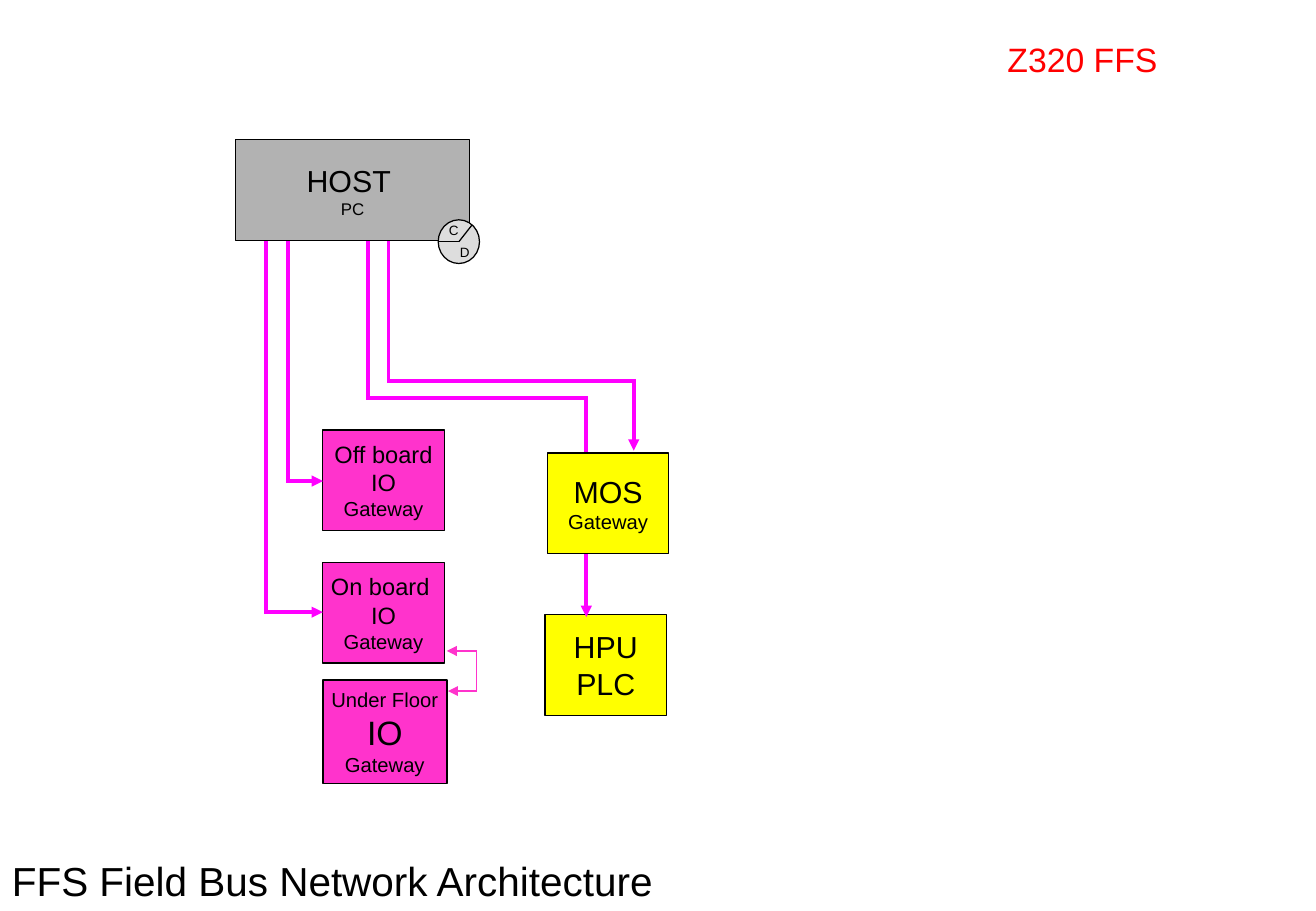
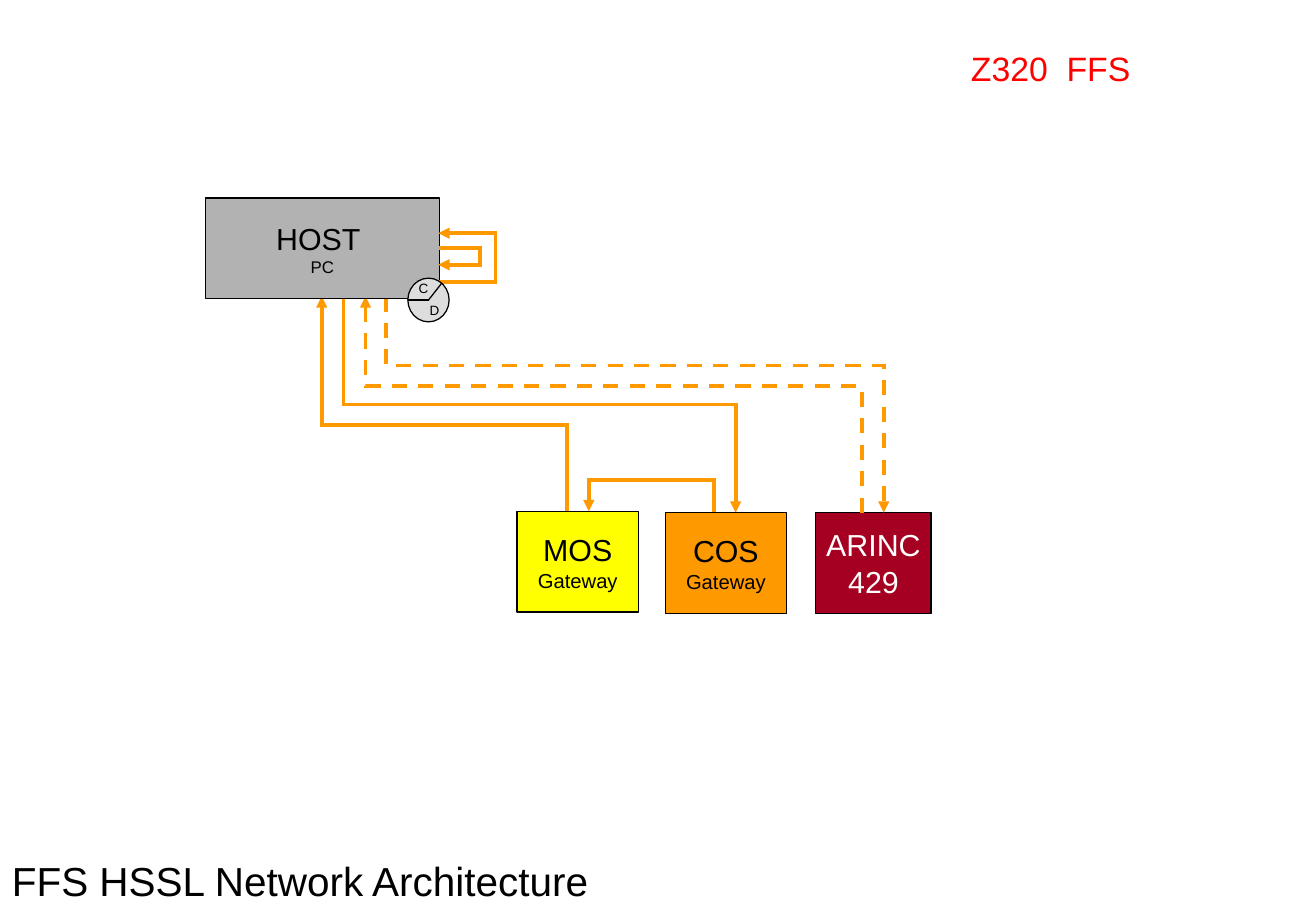
from lxml.etree import SubElement
from pptx import Presentation
from pptx.dml.color import RGBColor
from pptx.enum.dml import MSO_LINE_DASH_STYLE as Dash
from pptx.enum.shapes import MSO_CONNECTOR as Connector, MSO_SHAPE as Shape
from pptx.enum.text import MSO_ANCHOR as Anchor, MSO_AUTO_SIZE as AutoSize, PP_ALIGN as Align
from pptx.oxml.ns import qn
from pptx.util import Pt

SCALE = 9144
SLIDE_WIDTH, SLIDE_HEIGHT = 1084, 750
NODE_WIDTH, NODE_HEIGHT = 100, 83
HOST_WIDTH = 193
FONT = "Arial"
BLACK = RGBColor(0x00, 0x00, 0x00)
WHITE = RGBColor(0xFF, 0xFF, 0xFF)
RED = RGBColor(0xFF, 0x00, 0x00)
PINK = RGBColor(0xFF, 0x33, 0xCC)
MAGENTA = RGBColor(0xFF, 0x00, 0xFF)
YELLOW = RGBColor(0xFF, 0xFF, 0x00)
ORANGE = RGBColor(0xFF, 0x99, 0x00)
CRIMSON = RGBColor(0xA5, 0x00, 0x21)
GRAY = RGBColor(0xB2, 0xB2, 0xB2)
LIGHT_GRAY = RGBColor(0xDD, 0xDD, 0xDD)


def px(*lengths):
    """Turn px lengths into EMU."""
    return [round(length * SCALE) for length in lengths]


def write(shape, lines, color=BLACK, align=Align.LEFT, anchor=Anchor.TOP, wrap=False):
    """Fill a shape with (text, size) lines in one format."""
    frame = shape.text_frame
    frame.word_wrap = wrap
    frame.vertical_anchor = anchor
    for index, (text, size) in enumerate(lines):
        paragraph = frame.add_paragraph() if index else frame.paragraphs[0]
        paragraph.alignment = align
        run = paragraph.add_run()
        run.text = text
        run.font.name = FONT
        run.font.size = Pt(size)
        run.font.color.rgb = color


def add_label(slide, box, text, size, color=BLACK):
    """Add a one-line text box that fits its text."""
    label = slide.shapes.add_textbox(*px(*box))
    write(label, [(text, size)], color=color)
    label.text_frame.auto_size = AutoSize.SHAPE_TO_FIT_TEXT


def add_outlined(slide, kind, box, fill, line_width=0.75):
    """Add a filled preset shape with a black outline."""
    shape = slide.shapes.add_shape(kind, *px(*box))
    shape.shadow.inherit = False
    shape.fill.solid()
    shape.fill.fore_color.rgb = fill
    shape.line.color.rgb = BLACK
    shape.line.width = Pt(line_width)
    return shape


def add_node(slide, left, top, lines, fill, width=NODE_WIDTH, height=NODE_HEIGHT,
             color=BLACK, line_width=0.75):
    """Add a network node with centred text."""
    node = add_outlined(slide, Shape.RECTANGLE, (left, top, width, height), fill, line_width)
    write(node, lines, color=color, align=Align.CENTER, anchor=Anchor.MIDDLE)


def add_line(slide, kind, start, end, color=BLACK, width=0.75):
    """Add a connector without a shadow."""
    connector = slide.shapes.add_connector(kind, *px(*start, *end))
    connector.line.color.rgb = color
    connector.line.width = Pt(width)
    SubElement(connector._element.spPr, qn("a:effectLst"))
    return connector


def add_elbow(slide, start, end, color, bend=None, vertical=True, width=2.25,
              dashed=False, arrows=("tailEnd",)):
    """Add an elbow arrow that turns at the bend coordinate, or once at the end's level."""
    (x1, y1), (x2, y2) = start, end
    axis = 1 if vertical else 0
    if vertical:
        middle_x, middle_y = (x1 + x2) / 2, (y1 + y2) / 2
        half_x, half_y = (x2 - x1) / 2, (y2 - y1) / 2
        frame = ((middle_x + half_y, middle_y - half_x), (middle_x - half_y, middle_y + half_x))
    else:
        frame = (start, end)
    connector = add_line(slide, Connector.ELBOW, *frame, color, width)
    properties = connector._element.spPr
    if vertical:
        properties.find(qn("a:xfrm")).set("rot", "16200000")
    geometry = properties.find(qn("a:prstGeom"))
    if bend is None:
        geometry.set("prst", "bentConnector2")
    else:
        adjust = round(100000 * (bend - start[axis]) / (end[axis] - start[axis]))
        guides = geometry.find(qn("a:avLst"))
        if guides is None:
            guides = SubElement(geometry, qn("a:avLst"))
        SubElement(guides, qn("a:gd"), name="adj1", fmla=f"val {adjust}")
    if dashed:
        connector.line.dash_style = Dash.DASH
    line = properties.find(qn("a:ln"))
    SubElement(line, qn("a:miter"), lim="800000")
    for arrow in arrows:
        SubElement(line, qn(f"a:{arrow}"), type="triangle")


def add_host(slide, left, top):
    """Add the host computer."""
    add_node(slide, left, top, [("HOST ", 18), ("PC", 10)], GRAY, width=HOST_WIDTH)


def add_drive_badge(slide, host_left, host_top):
    """Add the round C and D badge on the host's corner."""
    left, top = host_left + 167, host_top + 66
    add_outlined(slide, Shape.OVAL, (left, top, 34, 36), LIGHT_GRAY)
    center = (left + 17, top + 18)
    for rim in ((left, top + 18), (left + 28, top + 4)):
        add_line(slide, Connector.STRAIGHT, rim, center)
    add_label(slide, (left - 1, top - 3, 28, 24), "C", 8)
    add_label(slide, (left + 8, top + 15, 28, 24), "D", 8)


def add_titled_slide(presentation, title, simulator, simulator_box):
    """Add a blank slide with its bottom title and red simulator name."""
    slide = presentation.slides.add_slide(presentation.slide_layouts[6])
    footer = slide.shapes.add_textbox(*px(0, 700, 1083, 50))
    write(footer, [(title, 24)], anchor=Anchor.MIDDLE, wrap=True)
    add_label(slide, simulator_box, simulator, 20, RED)
    return slide


def build_field_bus(presentation):
    """Build the field bus slide."""
    slide = add_titled_slide(presentation, "FFS Field Bus Network Architecture",
                             "Z320 FFS", (820, 27, 145, 44))
    maker = ("Gateway", 12)
    add_node(slide, 266, 463, [("On board ", 14), ("IO", 14), maker], PINK)
    add_node(slide, 266, 354, [("Off board", 14), ("IO", 14), maker], PINK)
    add_node(slide, 266, 560, [("Under Floor", 12), ("IO", 20), maker], PINK,
             width=102, height=85, line_width=1)
    add_node(slide, 449, 506, [("HPU", 18), ("PLC", 18)], YELLOW)
    for start, end, bend in (
        ((219, 197), (266, 504), None),
        ((237, 197), (266, 396), None),
        ((320, 194), (522, 371), 314),
        ((303, 192), (483, 508), 328),
    ):
        add_elbow(slide, start, end, MAGENTA, bend)
    add_node(slide, 451, 373, [("MOS", 18), maker], YELLOW)
    add_elbow(slide, (368, 536), (369, 569), PINK, 393, vertical=False, width=1,
              arrows=("headEnd", "tailEnd"))
    add_host(slide, 194, 115)
    add_drive_badge(slide, 194, 115)


def build_hssl(presentation):
    """Build the HSSL slide."""
    slide = add_titled_slide(presentation, "FFS HSSL Network Architecture",
                             "Z320  FFS", (790, 34, 153, 44))
    maker = ("Gateway", 12)
    add_node(slide, 672, 422, [("ARINC", 18), ("429", 18)], CRIMSON, width=95, color=WHITE)
    for start, end, bend, dashed, arrow in (
        ((318, 244), (728, 422), 301, True, "tailEnd"),
        ((301, 244), (710, 422), 318, True, "headEnd"),
        ((588, 422), (485, 421), 395, False, "tailEnd"),
        ((467, 421), (265, 244), 350, False, "tailEnd"),
        ((283, 244), (606, 422), 333, False, "tailEnd"),
    ):
        add_elbow(slide, start, end, ORANGE, bend, dashed=dashed, arrows=(arrow,))
    add_node(slide, 426, 421, [("MOS", 18), maker], YELLOW)
    add_node(slide, 548, 422, [("COS", 18), maker], ORANGE)
    add_host(slide, 169, 163)
    for start, end, bend in (((361, 192), (362, 232), 409), ((361, 218), (362, 204), 396)):
        add_elbow(slide, start, end, ORANGE, bend, vertical=False, arrows=("headEnd",))
    add_drive_badge(slide, 169, 163)


def main():
    """Build and save the presentation."""
    presentation = Presentation()
    presentation.slide_width, presentation.slide_height = px(SLIDE_WIDTH, SLIDE_HEIGHT)
    build_field_bus(presentation)
    build_hssl(presentation)
    presentation.save("out.pptx")


if __name__ == "__main__":
    main()
